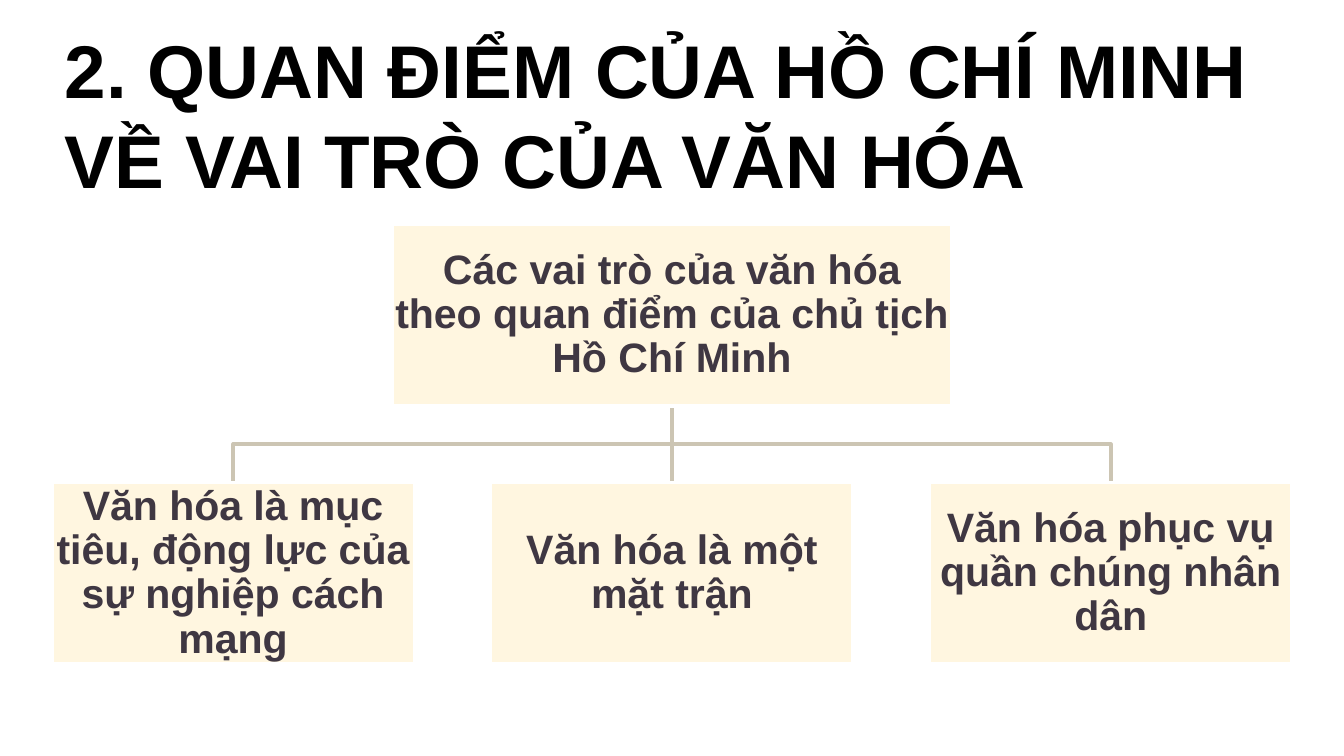
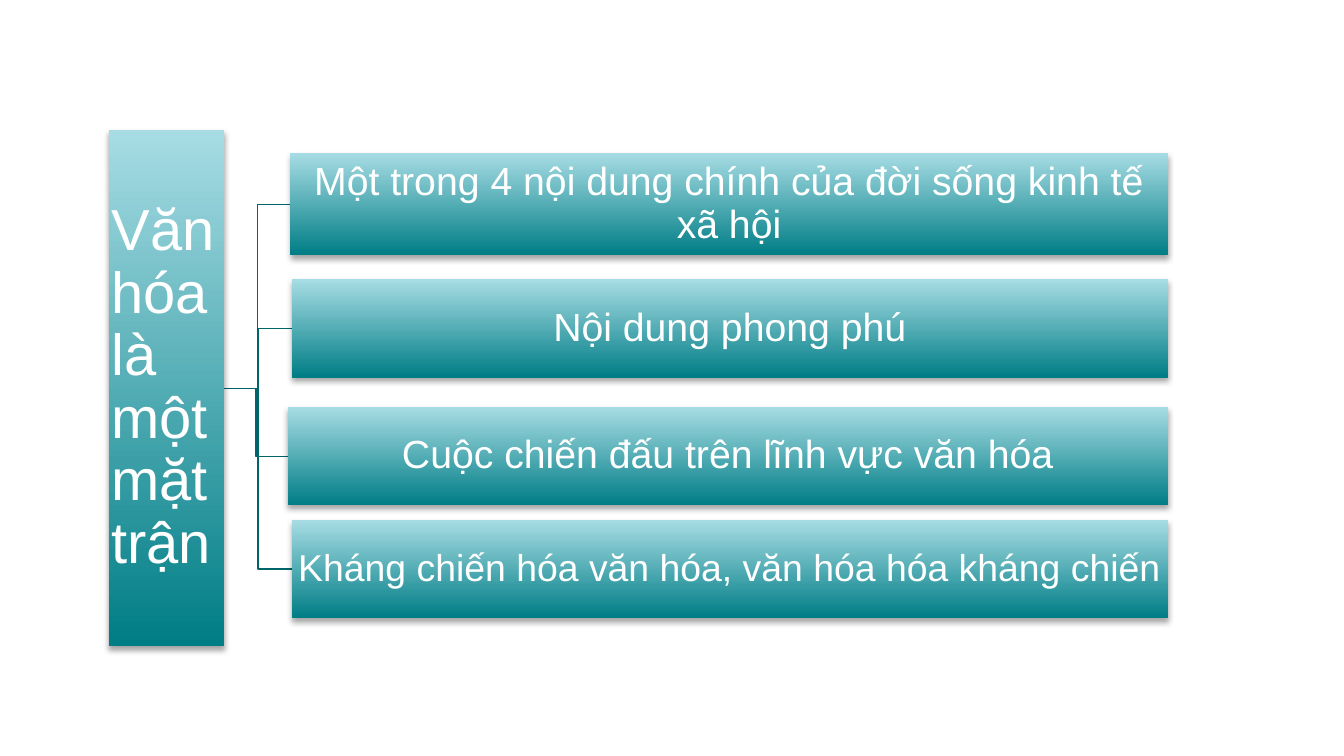
from dataclasses import dataclass

from lxml import etree
from pptx import Presentation
from pptx.dml.color import RGBColor
from pptx.enum import shapes, text
from pptx.oxml import ns
from pptx.util import Pt

PX = 4572
FONT = "Arial"
COLORS = {
    "title": "000000",
    "cream": "FFF6E0",
    "plum": "3F3742",
    "sand": "CCC5B3",
    "white": "FFFFFF",
    "teal": "007D85",
    "aqua": "A7DCE4",
    "deep_teal": "00646B",
    "shadow": "000000",
}


@dataclass(frozen=True)
class Area:
    left: int
    top: int
    width: int
    height: int

    @property
    def center_x(self) -> int:
        return self.left + self.width // 2

    @property
    def center_y(self) -> int:
        return self.top + self.height // 2

    @property
    def right(self) -> int:
        return self.left + self.width

    @property
    def bottom(self) -> int:
        return self.top + self.height

    def scaled(self) -> tuple[int, int, int, int]:
        return self.left * PX, self.top * PX, self.width * PX, self.height * PX


@dataclass(frozen=True)
class Style:
    size: int
    color: str
    bold: bool = False
    centered: bool = True
    inset: int = 3
    spacing: float = 0.9


@dataclass(frozen=True)
class Node:
    words: str
    area: Area
    style: Style


TITLE = Style(40, "title", bold=True, centered=False, inset=20, spacing=1.0)
ROLE = Style(22, "plum", bold=True)
TRUNK = Style(31, "white", centered=False, inset=4)
BRANCH = Style(21, "white", inset=2)
LONG_BRANCH = Style(20, "white", inset=2)

ROLE_TITLE = "2. QUAN ĐIỂM CỦA HỒ CHÍ MINH VỀ VAI TRÒ CỦA VĂN HÓA"
ROLE_ROOT = Node(
    "Các vai trò của văn hóa theo quan điểm của chủ tịch Hồ Chí Minh",
    Area(584, 334, 832, 270),
    ROLE,
)
ROLE_STEP = 653
ROLES = [
    Node(words, Area(77 + index * ROLE_STEP, 718, 540, 270), ROLE)
    for index, words in enumerate([
        "Văn hóa là mục tiêu, động lực của sự nghiệp cách mạng",
        "Văn hóa là một mặt trận",
        "Văn hóa phục vụ quần chúng nhân dân",
    ])
]

FRONT = Node("Văn hóa là một mặt trận", Area(162, 194, 172, 768), TRUNK)
BRANCH_RIGHT = 1738
BRANCHES = [
    Node(words, Area(left, top, BRANCH_RIGHT - left, height), style)
    for words, left, top, height, style in [
        ("Một trong 4 nội dung chính của đời sống kinh tế xã hội", 432, 228, 152, BRANCH),
        ("Nội dung phong phú", 434, 416, 146, BRANCH),
        ("Cuộc chiến đấu trên lĩnh vực văn hóa", 428, 606, 146, BRANCH),
        ("Kháng chiến hóa văn hóa, văn hóa hóa kháng chiến", 434, 774, 146, LONG_BRANCH),
    ]
]


def rgb(name: str) -> RGBColor:
    return RGBColor.from_string(COLORS[name])


def write(box, words: str, style: Style) -> None:
    frame = box.text_frame
    frame.word_wrap = True
    frame.margin_left = frame.margin_right = style.inset * PX
    frame.margin_top = frame.margin_bottom = min(style.inset, 10) * PX
    para = frame.paragraphs[0]
    para.text = words
    para.alignment = text.PP_ALIGN.CENTER if style.centered else text.PP_ALIGN.LEFT
    para.line_spacing = style.spacing
    para.font.name = FONT
    para.font.size = Pt(style.size)
    para.font.bold = style.bold
    para.font.color.rgb = rgb(style.color)


def add_title(page, words: str) -> None:
    box = page.shapes.add_textbox(*Area(77, 26, 1846, 290).scaled())
    write(box, words, TITLE)
    box.text_frame.auto_size = text.MSO_AUTO_SIZE.SHAPE_TO_FIT_TEXT


def add_node(page, node: Node):
    box = page.shapes.add_shape(shapes.MSO_SHAPE.RECTANGLE, *node.area.scaled())
    box.shadow.inherit = False
    write(box, node.words, node.style)
    box.text_frame.vertical_anchor = text.MSO_ANCHOR.MIDDLE
    return box


def add_role(page, node: Node) -> None:
    box = add_node(page, node)
    box.fill.solid()
    box.fill.fore_color.rgb = rgb("cream")
    box.line.color.rgb = rgb("white")
    box.line.width = Pt(2)


def add_glossy_bar(page, node: Node) -> None:
    box = add_node(page, node)
    box.line.fill.background()
    box.fill.gradient()
    box.fill.gradient_angle = 90
    for stop, color in zip(box.fill.gradient_stops, ("teal", "aqua")):
        stop.color.rgb = rgb(color)
    effects = box._element.spPr.find(ns.qn("a:effectLst"))
    shadow = etree.SubElement(
        effects, ns.qn("a:outerShdw"),
        blurRad="40000", dist="23000", dir="5400000", rotWithShape="0",
    )
    tint = etree.SubElement(shadow, ns.qn("a:srgbClr"), val=COLORS["shadow"])
    etree.SubElement(tint, ns.qn("a:alpha"), val="35000")


def add_link(page, points: list[tuple[int, int]], color: str, width: float) -> None:
    start, end = points[0], points[-1]
    if start[0] == end[0] or start[1] == end[1]:
        link = page.shapes.add_connector(
            shapes.MSO_CONNECTOR.STRAIGHT, *(value * PX for value in start + end)
        )
        etree.SubElement(link._element.spPr, ns.qn("a:effectLst"))
    else:
        builder = page.shapes.build_freeform(*start, scale=PX)
        builder.add_line_segments(points[1:], close=False)
        link = builder.convert_to_shape()
        link.fill.background()
        link.shadow.inherit = False
    link.line.color.rgb = rgb(color)
    link.line.width = Pt(width)


def link_down(page, parent: Area, child: Area) -> None:
    middle = (parent.bottom + child.top) // 2
    add_link(page, [
        (parent.center_x, parent.bottom), (parent.center_x, middle),
        (child.center_x, middle), (child.center_x, child.top),
    ], "sand", 2)


def link_across(page, parent: Area, child: Area) -> None:
    middle = (parent.right + child.left) // 2
    add_link(page, [
        (parent.right, parent.center_y), (middle, parent.center_y),
        (middle, child.center_y), (child.left, child.center_y),
    ], "deep_teal", 0.75)


def add_tree(page, root: Node, children: list[Node], link, draw) -> None:
    for child in reversed(children):
        link(page, root.area, child.area)
    for node in [root, *children]:
        draw(page, node)


def add_page(deck):
    page = deck.slides.add_slide(deck.slide_layouts[6])
    page.background.fill.solid()
    page.background.fill.fore_color.rgb = rgb("white")
    return page


def main() -> None:
    deck = Presentation()
    deck.slide_width = 2000 * PX
    deck.slide_height = 1125 * PX

    roles_page = add_page(deck)
    add_title(roles_page, ROLE_TITLE)
    add_tree(roles_page, ROLE_ROOT, ROLES, link_down, add_role)

    front_page = add_page(deck)
    add_tree(front_page, FRONT, BRANCHES, link_across, add_glossy_bar)

    deck.save("out.pptx")


if __name__ == "__main__":
    main()
